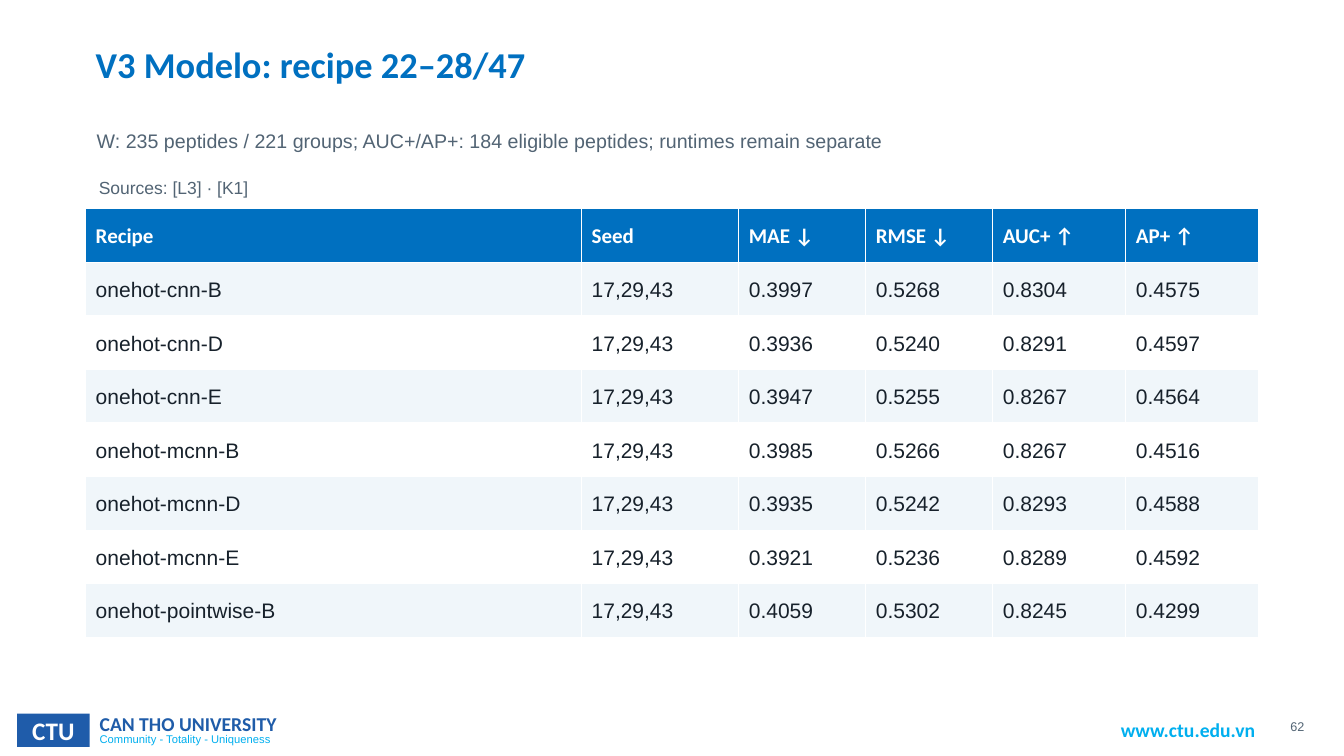
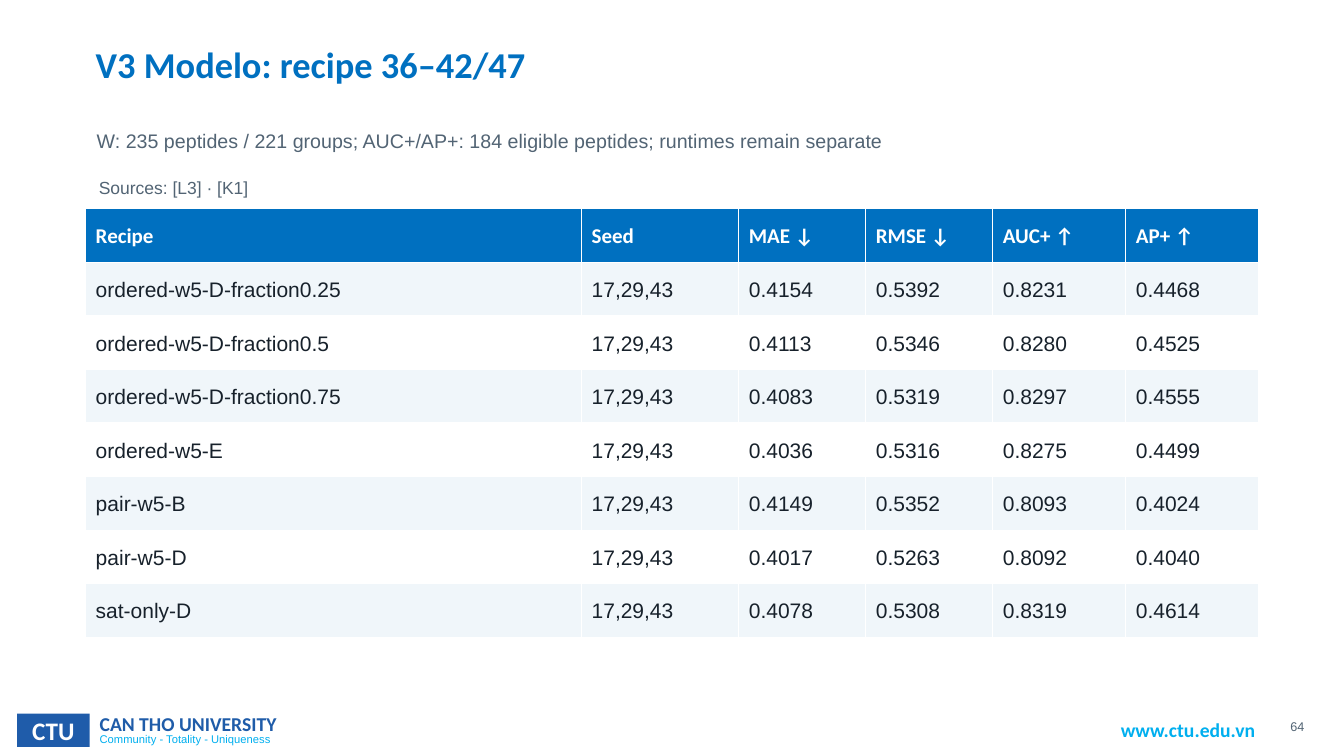
import dataclasses

import pptx
import pptx.dml.color
import pptx.enum.shapes
import pptx.enum.text
import pptx.util

ALIGN = pptx.enum.text.PP_ALIGN
ANCHOR = pptx.enum.text.MSO_ANCHOR
RECT = pptx.enum.shapes.MSO_SHAPE.RECTANGLE


@dataclasses.dataclass(frozen=True)
class Style:
    size: float
    color: str
    font: str = "Arial"
    bold: bool = False


@dataclasses.dataclass(frozen=True)
class Theme:
    header_fill: str = "0070C0"
    band_fills: tuple = ("F0F6FA", "FFFFFF")
    badge_fill: str = "1F5CAA"
    title: Style = Style(26, "0070C0", "Calibri", True)
    subtitle: Style = Style(14, "526474")
    sources: Style = Style(12.5, "526474")
    page: Style = Style(9, "526474")
    header: Style = Style(15, "FFFFFF", "Calibri", True)
    body: Style = Style(15, "17212B")
    badge: Style = Style(18, "FFFFFF", "Calibri", True)
    school: Style = Style(14, "1F5CA9", "Calibri", True)
    motto: Style = Style(8, "00AFEF")
    site: Style = Style(14, "00AFEF", "Calibri", True)


def rgb(value):
    return pptx.dml.color.RGBColor.from_string(value)


class Deck:
    """Places elements on a grid of 80 columns and 45 rows."""

    COLS, ROWS = 80, 45
    TIGHT = 0.01

    def __init__(self, theme):
        self.theme = theme
        self.prs = pptx.Presentation()
        self.prs.slide_width = pptx.util.Inches(13.33)
        self.prs.slide_height = pptx.util.Inches(7.5)
        self.s = None

    def x(self, cols):
        return round(self.prs.slide_width * cols / self.COLS)

    def y(self, rows):
        return round(self.prs.slide_height * rows / self.ROWS)

    def box(self, left, top, width, height):
        return self.x(left), self.y(top), self.x(width), self.y(height)

    def new_slide(self):
        self.s = self.prs.slides.add_slide(self.prs.slide_layouts[6])

    def add_text(self, tf, text, style, align=ALIGN.LEFT, spacing=None):
        p = tf.paragraphs[0]
        p.alignment = align
        if spacing:
            p.line_spacing = spacing
        r = p.add_run()
        r.text = text
        r.font.name = style.font
        r.font.size = pptx.util.Pt(style.size)
        r.font.bold = style.bold
        r.font.color.rgb = rgb(style.color)

    def label(self, place, text, style, wrap=True):
        """Footer text with the usual insets."""
        tf = self.s.shapes.add_textbox(*self.box(*place)).text_frame
        tf.word_wrap = wrap
        self.add_text(tf, text, style)

    def text(self, place, text, style, align=ALIGN.LEFT):
        """Content text, almost without insets."""
        tf = self.s.shapes.add_textbox(*self.box(*place)).text_frame
        tf.word_wrap = True
        inset = pptx.util.Inches(self.TIGHT)
        tf.margin_left = tf.margin_right = inset
        tf.margin_top = tf.margin_bottom = inset
        self.add_text(tf, text, style, align, 1.13)
        tf.paragraphs[0].space_after = pptx.util.Pt(3)

    def badge(self, place, text):
        sp = self.s.shapes.add_shape(RECT, *self.box(*place))
        sp.shadow.inherit = False
        sp.fill.solid()
        sp.fill.fore_color.rgb = rgb(self.theme.badge_fill)
        sp.line.fill.background()
        tf = sp.text_frame
        tf.vertical_anchor = ANCHOR.MIDDLE
        self.add_text(tf, text, self.theme.badge, ALIGN.CENTER)

    def table(self, left, top, widths, row_height, header, records):
        rows = [header, *records]
        place = self.box(left, top, sum(widths), row_height * len(rows))
        table = self.s.shapes.add_table(len(rows), len(widths), *place).table
        table.horz_banding = False
        for column, width in zip(table.columns, widths):
            column.width = self.x(width)
        for i, row in enumerate(rows):
            table.rows[i].height = self.y(row_height)
            if i == 0:
                fill, style = self.theme.header_fill, self.theme.header
            else:
                fill, style = self.theme.band_fills[(i - 1) % 2], self.theme.body
            for j, value in enumerate(row):
                cell = table.cell(i, j)
                cell.fill.solid()
                cell.fill.fore_color.rgb = rgb(fill)
                cell.vertical_anchor = ANCHOR.MIDDLE
                self.add_text(cell.text_frame, value, style, spacing=1.1)

    def footer(self, page):
        t = self.theme
        self.label((66.12, 42.42, 9.84, 2.04), "www.ctu.edu.vn", t.site, wrap=False)
        self.badge((1.02, 42.48, 4.32, 1.98), "CTU")
        self.label((5.34, 43.32, 12.6, 1.44), "Community - Totality - Uniqueness", t.motto)
        self.label((5.34, 42.06, 18.12, 2.04), "CAN THO UNIVERSITY", t.school)
        self.text((75.9, 42.6, 1.8, 1.2), str(page), t.page, ALIGN.RIGHT)

    def results_slide(self, page, recipes, records):
        t = self.theme
        self.new_slide()
        self.footer(page)
        self.text((5.64, 2.1, 69.9, 4.92), f"V3 Modelo: recipe {recipes}/47", t.title)
        self.text((5.7, 7.44, 69.3, 2.88), SUBTITLE, t.subtitle)
        self.text((5.82, 10.32, 68.82, 1.62), "Sources: [L3] · [K1]", t.sources)
        rows = [(name, SEEDS, *scores) for name, *scores in records]
        self.table(5.1, 12.42, COLUMN_WIDTHS, 3.19, HEADER, rows)


# Content shared by the result tables
SUBTITLE = ("W: 235 peptides / 221 groups; AUC+/AP+: 184 eligible peptides; "
            "runtimes remain separate")
SEEDS = "17,29,43"
HEADER = ("Recipe", "Seed", "MAE ↓", "RMSE ↓", "AUC+ ↑", "AP+ ↑")
COLUMN_WIDTHS = (29.52, 9.36, 7.56, 7.56, 7.92, 7.92)

# Page, recipe range, and one record per recipe
RESULTS = [
    (62, "22–28", [
        ("onehot-cnn-B", "0.3997", "0.5268", "0.8304", "0.4575"),
        ("onehot-cnn-D", "0.3936", "0.5240", "0.8291", "0.4597"),
        ("onehot-cnn-E", "0.3947", "0.5255", "0.8267", "0.4564"),
        ("onehot-mcnn-B", "0.3985", "0.5266", "0.8267", "0.4516"),
        ("onehot-mcnn-D", "0.3935", "0.5242", "0.8293", "0.4588"),
        ("onehot-mcnn-E", "0.3921", "0.5236", "0.8289", "0.4592"),
        ("onehot-pointwise-B", "0.4059", "0.5302", "0.8245", "0.4299"),
    ]),
    (64, "36–42", [
        ("ordered-w5-D-fraction0.25", "0.4154", "0.5392", "0.8231", "0.4468"),
        ("ordered-w5-D-fraction0.5", "0.4113", "0.5346", "0.8280", "0.4525"),
        ("ordered-w5-D-fraction0.75", "0.4083", "0.5319", "0.8297", "0.4555"),
        ("ordered-w5-E", "0.4036", "0.5316", "0.8275", "0.4499"),
        ("pair-w5-B", "0.4149", "0.5352", "0.8093", "0.4024"),
        ("pair-w5-D", "0.4017", "0.5263", "0.8092", "0.4040"),
        ("sat-only-D", "0.4078", "0.5308", "0.8319", "0.4614"),
    ]),
]


def main():
    deck = Deck(Theme())
    for page, recipes, records in RESULTS:
        deck.results_slide(page, recipes, records)
    deck.prs.save("out.pptx")


if __name__ == "__main__":
    main()
